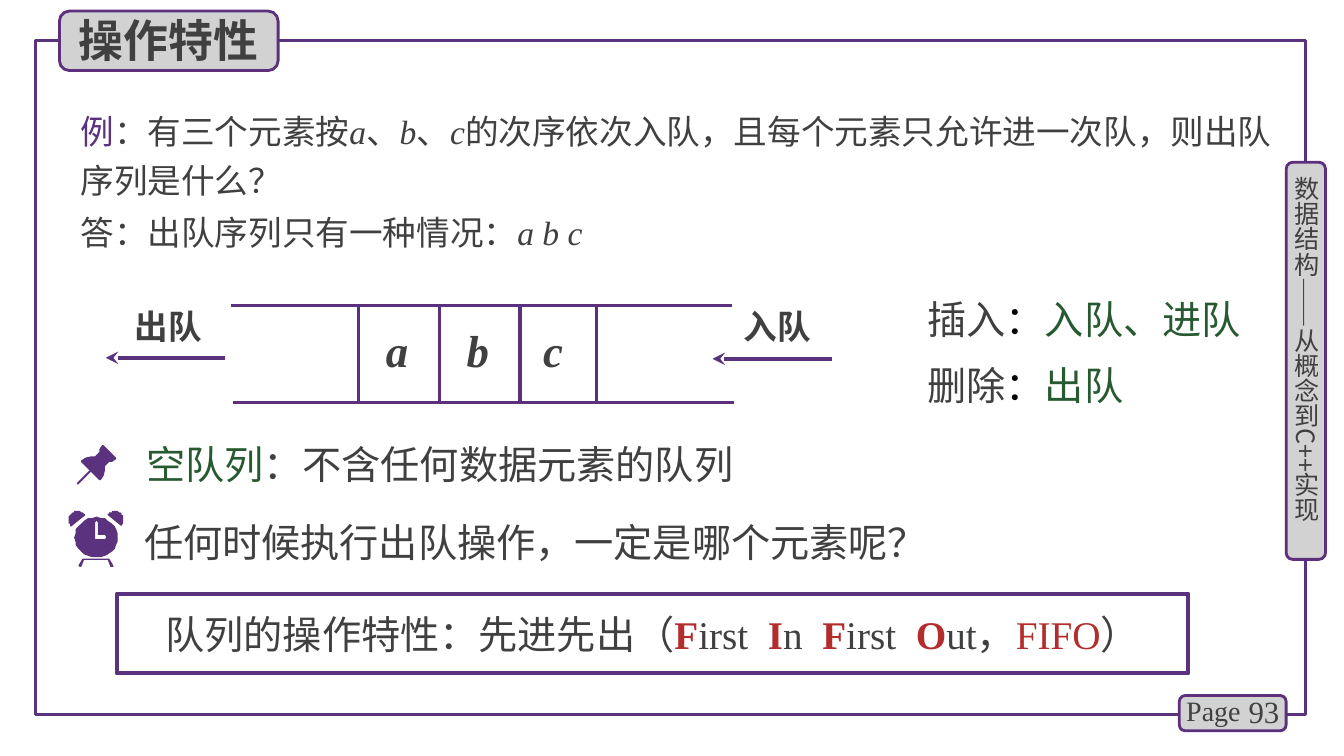
import math

import pptx
import pptx.dml.color
import pptx.enum.shapes
import pptx.enum.text
import pptx.oxml
import pptx.oxml.ns
import pptx.util

Pt = pptx.util.Pt
SHAPES = pptx.enum.shapes.MSO_SHAPE
ANCHOR = pptx.enum.text.MSO_ANCHOR
ALIGN = pptx.enum.text.PP_ALIGN

PURPLE, BORDER, GREY = "5A327D", "5C307D", "D2D2D2"
INK, BLACK, GREEN, RED = "404040", "000000", "285A32", "B42D2D"
SERIF, SANS = "Times New Roman", "Noto Sans CJK SC"


def paint(colour_format, colour):
    colour_format.rgb = pptx.dml.color.RGBColor.from_string(colour)


def solid(fill):
    fill.solid()
    return fill.fore_color


def drawing_element(tag):
    return pptx.oxml.parse_xml(f"<a:{tag} {pptx.oxml.ns.nsdecls('a')}/>")


def arc(centre_x, centre_y, radius_x, radius_y, start, end, steps=32):
    angles = [math.radians(start + (end - start) * i / steps) for i in range(steps + 1)]
    return [(centre_x + radius_x * math.cos(a), centre_y + radius_y * math.sin(a))
            for a in angles]


class QueueSlide:
    def __init__(self, deck):
        self.slide = deck.slides.add_slide(deck.slide_layouts[5])
        self.shapes = self.slide.shapes
        self.style = {"name": SERIF, "bold": False}

    def set_text(self, holder, runs, size, align=ALIGN.LEFT,
                 anchor=ANCHOR.TOP, line_spacing=None, **formats):
        frame = holder.text_frame
        settings = {"word_wrap": True, "auto_size": pptx.enum.text.MSO_AUTO_SIZE.NONE,
                    "vertical_anchor": anchor}
        for key, value in settings.items():
            setattr(frame, key, value)
        paragraph = frame.paragraphs[0]
        paragraph.alignment = align
        if line_spacing:
            paragraph.line_spacing = Pt(line_spacing)
        for text, colour, *extra in runs:
            run = paragraph.add_run()
            run.text = text
            values = {**self.style, "size": Pt(size), **formats}
            values.update(extra[0] if extra else {})
            spacing = values.pop("spacing", None)
            paint(solid(run.font.fill), colour)
            for key, value in values.items():
                setattr(run.font, key, value)
            properties = run._r.get_or_add_rPr()
            east_asian = drawing_element("ea")
            east_asian.set("typeface", SANS)
            properties.append(east_asian)
            if spacing:
                properties.set("spc", str(spacing * 100))

    def title(self, place, text):
        heading = self.shapes.title
        for key, value in zip(("left", "top", "width", "height"), place):
            setattr(heading, key, Pt(value))
        heading.element.getparent().append(heading.element)
        self.set_text(heading, [(text, INK)], 32, anchor=ANCHOR.MIDDLE, name=SANS, bold=True)

    def text(self, place, runs, size, **style):
        box = self.shapes.add_textbox(*map(Pt, place))
        self.set_text(box, runs, size, **style)
        return box

    def vertical_text(self, place, runs, size, **style):
        frame = self.text(place, runs, size, **style).text_frame
        for side in ("left", "top", "right", "bottom"):
            setattr(frame, f"margin_{side}", 0)
        frame._txBody.bodyPr.set("vert", "eaVert")

    def box(self, kind, place, line, width, fill=None):
        shape = self.shapes.add_shape(kind, *map(Pt, place))
        shape.shadow.inherit = False
        if fill:
            paint(solid(shape.fill), fill)
        else:
            shape.fill.background()
        paint(shape.line.color, line)
        shape.line.width = Pt(width)
        return shape

    def tab(self, place):
        self.box(SHAPES.ROUNDED_RECTANGLE, place, BORDER, 2, GREY)

    def line(self, start, end, colour=BORDER, width=2.25, arrow=False):
        connector = self.shapes.add_connector(
            pptx.enum.shapes.MSO_CONNECTOR.STRAIGHT, *map(Pt, (*start, *end)))
        paint(connector.line.color, colour)
        connector.line.width = Pt(width)
        if arrow:
            head = drawing_element("headEnd")
            head.set("type", "stealth")
            connector.line._get_or_add_ln().append(head)
        connector.element.spPr.append(drawing_element("effectLst"))

    def outline(self, first, *others):
        builder = self.shapes.build_freeform(*first[0], scale=Pt(1))
        builder.add_line_segments(first[1:], close=True)
        for contour in others:
            builder.move_to(*contour[0])
            builder.add_line_segments(contour[1:], close=True)
        shape = builder.convert_to_shape()
        shape.shadow.inherit = False
        paint(solid(shape.fill), PURPLE)
        shape.line.fill.background()


def main():
    deck = pptx.Presentation()
    deck.slide_width, deck.slide_height = Pt(960), Pt(540)
    page = QueueSlide(deck)

    page.box(SHAPES.RECTANGLE, (25.2, 28.8, 907.2, 481.7), PURPLE, 2.25)
    page.tab((842.4, 496.8, 76.3, 25.2))
    page.text((878.4, 493.9, 42.5, 28.8), [("93", INK)], 22,
              align=ALIGN.RIGHT, anchor=ANCHOR.MIDDLE)
    page.text((840.2, 491.8, 56.2, 31.7), [("Page", INK)], 20)
    page.tab((918.7, 115.9, 28.1, 283.7))
    page.vertical_text((922.3, 126, 21.6, 272.2),
                       [("数据结构——从概念到C++实现", INK)], 18, name=SANS)
    page.tab((42.5, 7.9, 156.2, 42.5))
    page.title((49, 5, 151.9, 46.1), "操作特性")

    italic = {"italic": True}
    page.text((50.4, 69.1, 871.9, 77.8), [
        ("例", PURPLE), ("：有三个元素按", INK), ("a", INK, italic), ("、", INK),
        ("b", INK, italic), ("、", INK), ("c", INK, italic),
        ("的次序依次入队，且每个元素只允许进一次队，则出队序列是什么？", INK),
    ], 24, line_spacing=35)
    page.text((50.4, 147.6, 556.6, 36),
              [("答：出队序列只有一种情况：", INK), ("a b c", INK, italic)], 24)

    for left, top in ((164.9, 218.2), (166.3, 287.3)):
        page.line((left, top), (left + 357.8, top))
    for divider in (256.3, 313.9, 371.5, 426.2):
        page.line((divider, 287.6), (divider, 218.5))
    for element, left in (("a", 268.6), ("b", 326.2), ("c", 380.9)):
        page.text((left, 226.8, 46.1, 46.1), [(element, INK)], 32, bold=True, italic=True)
    for action, tip, left, top in (("出队", 75.6, 89.3, 255.6), ("入队", 509, 524.2, 256.3)):
        page.line((tip, top), (tip + 85.4, top), PURPLE, 3, arrow=True)
        page.text((left, 215.3, 74.2, 36), [(action, INK)], 24, bold=True)

    for operation, names, top in (("插入", "入队、进队", 207.4), ("删除", "出队", 254.9)):
        page.text((655.4, top, 272.9, 41),
                  [(operation, INK), ("：", BLACK), (names, GREEN)], 28, name=SANS)

    page.text((97.2, 311, 640.1, 41),
              [("空队列", GREEN), ("：不含任何数据元素的队列", INK)], 28, name=SANS)
    page.outline([
        (82.8, 327.2), (74.2, 318.4), (73.4, 318.4), (70.6, 321.2), (70.6, 321.8),
        (71.3, 322.6), (67.7, 326.2), (64.8, 326.2), (61, 327), (57.6, 329), (57.6, 329.8),
        (71.3, 343.4), (72, 343.4), (74.2, 340), (75.2, 336.5), (74.9, 333.4),
        (78.5, 329.8), (79.2, 330.5), (79.9, 330.5), (82.8, 327.8)])
    page.outline([(54.8, 345.2), (64.2, 335.6), (65.4, 335.6), (65.8, 336.4),
                  (56.4, 346.2), (55.2, 346.4)])

    page.text((95.8, 363.2, 607, 47.5),
              [("任何时候执行出队操作，一定是哪个元素呢？", INK)], 28,
              anchor=ANCHOR.MIDDLE, name=SANS)
    page.outline(arc(55.4, 371.5, 6.4, 6.4, -30, -225))
    page.outline(arc(82.1, 371.5, 6.4, 6.4, -150, 45))
    page.outline(arc(68.8, 383.8, 15.5, 14.4, 0, 360), [
        (67.7, 373), (67.7, 384), (68.4, 384.6), (74.6, 384.6), (75.6, 383.6),
        (74.6, 382.4), (70, 382.4), (70, 373), (68.8, 372.2)])
    page.outline([(59.2, 398.9), (77.8, 398.9), (81.2, 404.2), (80.6, 405),
                  (79.4, 404.6), (77, 400.3), (60.4, 400.3), (57.8, 404.6),
                  (56.6, 405), (56.2, 404.2)])

    summary = page.box(SHAPES.RECTANGLE, (83.5, 424.1, 765.4, 56.9), PURPLE, 3)
    summary.text_frame.margin_top = summary.text_frame.margin_bottom = 0
    acronym = [("队列的操作特性：先进先出（", INK)]
    for initial, rest in (("F", "irst"), ("I", "n"), ("F", "irst")):
        acronym += [(initial, RED, {"bold": True}), (rest, INK), (" ", INK, {"spacing": 7})]
    acronym += [("O", RED, {"bold": True}), ("ut，", INK), ("FIFO", RED), ("）", INK)]
    page.set_text(summary, acronym, 28, align=ALIGN.CENTER, anchor=ANCHOR.MIDDLE)

    deck.save("out.pptx")


if __name__ == "__main__":
    main()
